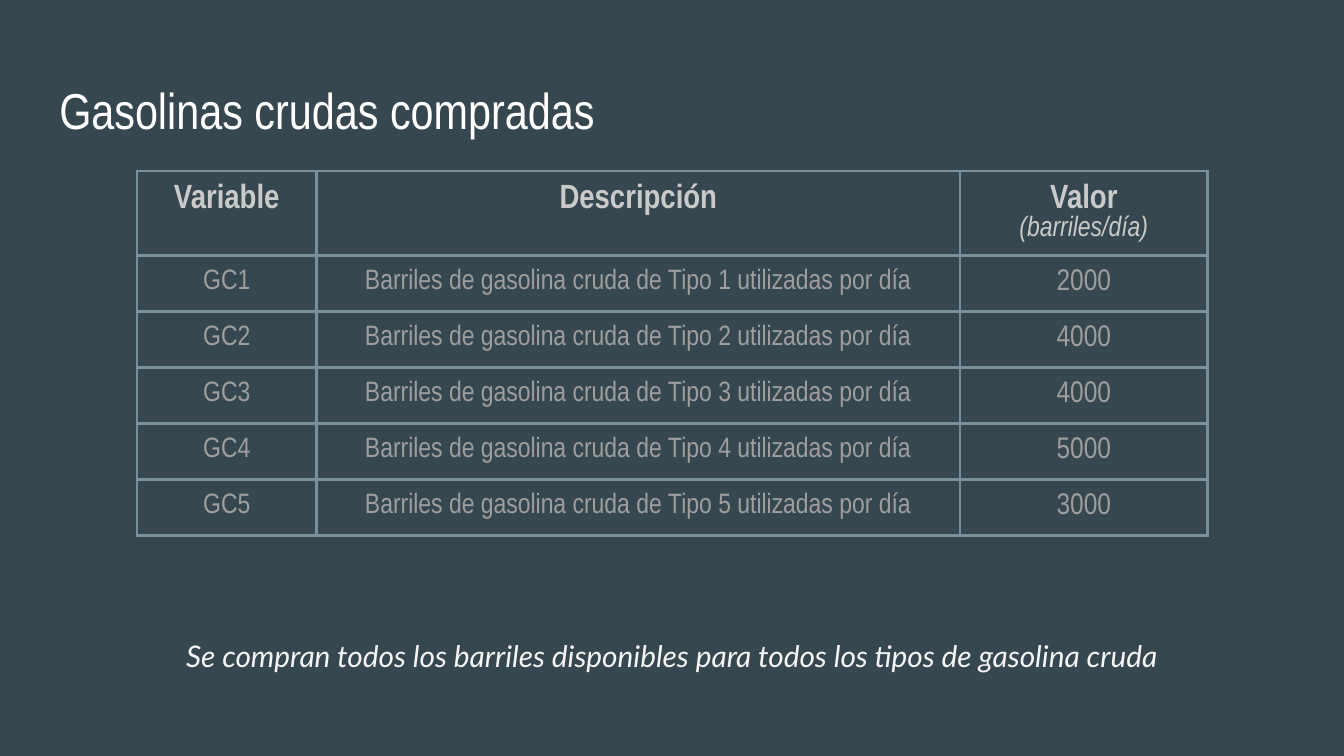
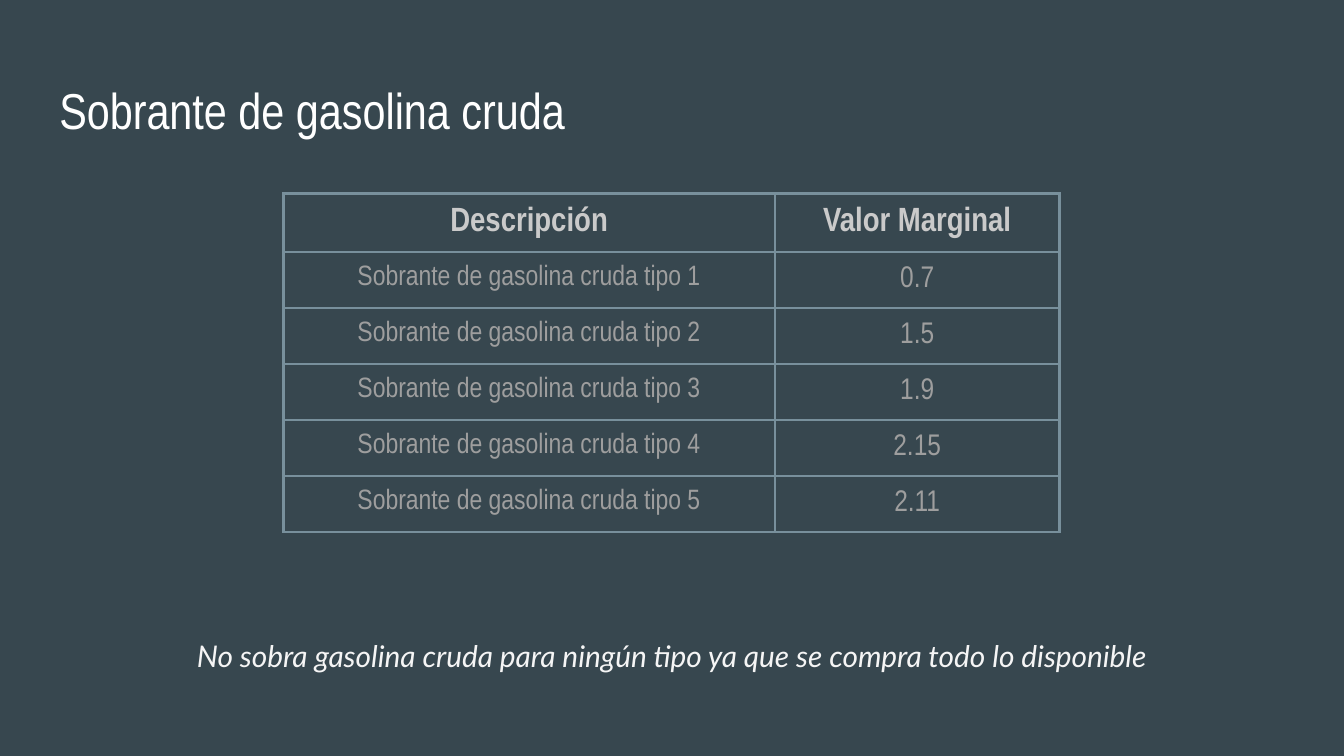
from lxml import etree
from pptx import Presentation, util as u
from pptx.dml.color import RGBColor
from pptx.enum import text
from pptx.oxml.ns import qn

COLORS = {
    "background": "37474F",
    "border": "78909C",
    "title": "FFFFFF",
    "note": "F5F5F5",
    "header": "CACACA",
    "body": "9E9E9E",
}
NARROW, LATO = "Arial Narrow", "Lato"
ALIGN = text.PP_ALIGN


class Deck:
    """Holds the style and the current slide; lengths are percentages of the slide."""

    def __init__(self, width):
        self.prs = Presentation()
        self.prs.slide_width = u.Inches(width)
        self.prs.slide_height = u.Inches(width * 9 / 16)

    def x(self, share):
        return round(self.prs.slide_width * share / 100)

    def y(self, share):
        return round(self.prs.slide_height * share / 100)

    def new_slide(self):
        self.s = self.prs.slides.add_slide(self.prs.slide_layouts[0])
        fill = self.s.background.fill
        fill.solid()
        fill.fore_color.rgb = RGBColor.from_string(COLORS["background"])

    def style(self, p, size, color, name=NARROW, align=ALIGN.CENTER, bold=False, italic=False):
        p.alignment = align
        font = p.font
        font.size, font.name, font.bold, font.italic = u.Pt(size), name, bold, italic
        font.color.rgb = RGBColor.from_string(COLORS[color])

    def fill_placeholder(self, sp, wording, left, top, width, height):
        sp.left, sp.top = self.x(left), self.y(top)
        sp.width, sp.height = self.x(width), self.y(height)
        tf = sp.text_frame
        tf.text = wording
        tf.word_wrap, tf.auto_size = True, text.MSO_AUTO_SIZE.NONE
        tf.vertical_anchor = text.MSO_ANCHOR.TOP
        tf.margin_left = tf.margin_right = tf.margin_top = tf.margin_bottom = u.Inches(0.1)
        p = tf.paragraphs[0]
        p.space_before = u.Pt(0)
        return p

    def title(self, wording):
        p = self.fill_placeholder(self.s.shapes.title, wording, 3.41, 8.7, 93.2, 11.2)
        self.style(p, 27, "title", align=ALIGN.LEFT)

    def note(self, wording):
        p = self.fill_placeholder(self.s.placeholders[1], wording, 7.35, 81.85, 85.3, 15.5)
        p.line_spacing, p.space_after = 1.15, u.Pt(12)
        self.style(p, 16, "note", name=LATO, italic=True)

    def border(self, cell):
        tc_pr = cell._tc.get_or_add_tcPr()
        for side in ("lnL", "lnR", "lnT", "lnB"):
            ln = etree.SubElement(tc_pr, qn(f"a:{side}"), w=str(u.Pt(1.5)))
            solid = etree.SubElement(ln, qn("a:solidFill"))
            etree.SubElement(solid, qn("a:srgbClr"), val=COLORS["border"])

    def cell(self, cell, wording, size, color, bold):
        self.border(cell)
        cell.fill.background()
        cell.margin_left = cell.margin_right = cell.margin_top = cell.margin_bottom = u.Inches(0.1)
        cell.text_frame.text = wording
        first, *units = cell.text_frame.paragraphs
        self.style(first, size, color, bold=bold)
        for p in units:
            self.style(p, 15, color, italic=True)

    def table(self, left, top, widths, header, rows, row_height=7.41):
        grid = [header, *rows]
        frame = self.s.shapes.add_table(
            len(grid), len(widths), self.x(left), self.y(top),
            self.x(sum(widths)), self.y(row_height * len(grid)))
        table = frame.table
        table.horz_banding = False
        for column, width in zip(table.columns, widths):
            column.width = self.x(width)
        for i, values in enumerate(grid):
            table.rows[i].height = self.y(row_height)
            for j, value in enumerate(values):
                is_value = j == len(widths) - 1
                size = 18 if i == 0 else 16 if is_value else 15
                color = "header" if i == 0 else "body"
                self.cell(table.cell(i, j), value, size, color, bold=i == 0)


def main():
    deck = Deck(10)

    deck.new_slide()
    deck.title("Gasolinas crudas compradas")
    barrels = ["2000", "4000", "4000", "5000", "3000"]
    deck.table(
        10.2, 22.6, [13.35, 47.9, 18.4],
        ["Variable", "Descripción", "Valor\n(barriles/día)"],
        [[f"GC{n}", f"Barriles de gasolina cruda de Tipo {n} utilizadas por día", value]
         for n, value in enumerate(barrels, 1)])
    deck.note("Se compran todos los barriles disponibles para todos los tipos de gasolina cruda")

    deck.new_slide()
    deck.title("Sobrante de gasolina cruda")
    marginals = ["0.7", "1.5", "1.9", "2.15", "2.11"]
    deck.table(
        21.1, 25.6, [36.55, 21.2],
        ["Descripción", "Valor Marginal"],
        [[f"Sobrante de gasolina cruda tipo {n}", value]
         for n, value in enumerate(marginals, 1)])
    deck.note("No sobra gasolina cruda para ningún tipo ya que se compra todo lo disponible")

    deck.prs.save("out.pptx")


if __name__ == "__main__":
    main()
